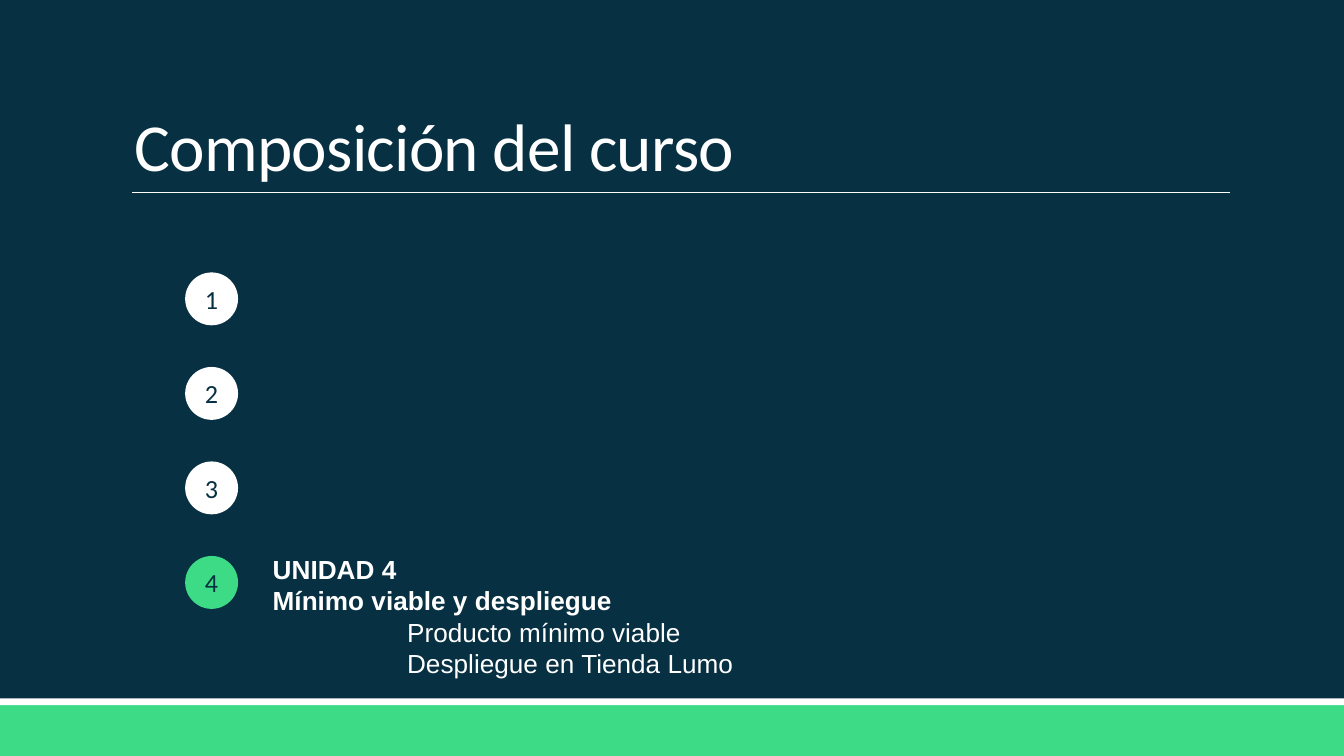
"""Build the course outline slide with its numbered units."""
from dataclasses import dataclass

from lxml.etree import SubElement
from pptx import Presentation
from pptx.dml.color import RGBColor
from pptx.enum.shapes import MSO_CONNECTOR, MSO_SHAPE
from pptx.enum.text import MSO_ANCHOR, MSO_AUTO_SIZE, PP_ALIGN
from pptx.oxml.ns import qn
from pptx.util import Cm, Pt


@dataclass(frozen=True)
class Theme:
    """Colours, fonts and type sizes of the deck."""
    navy: RGBColor = RGBColor.from_string("073042")
    green: RGBColor = RGBColor.from_string("3DDB85")
    white: RGBColor = RGBColor.from_string("FFFFFF")
    heading_font: str = "Calibri"
    body_font: str = "Arial"
    title_size: Pt = Pt(36)
    text_size: Pt = Pt(14)
    text_leading: Pt = Pt(16.8)
    rule_width: Pt = Pt(0.5)


@dataclass(frozen=True)
class Box:
    """A rectangle on the slide."""
    left: int
    top: int
    width: int
    height: int

    def fit(self, shape):
        """Move and size a shape to fill the box."""
        shape.left, shape.top = self.left, self.top
        shape.width, shape.height = self.width, self.height


THEME = Theme()
UNIT_COUNT = 4
CURRENT_UNIT = 4
UNIT_LINES = [
    ("UNIDAD 4", True),
    ("Mínimo viable y despliegue", True),
    ("Producto mínimo viable", False),
    ("Despliegue en Tienda Lumo", False),
]


def style_font(font, name, size, color, bold=False):
    """Set the typeface, size, colour and weight of a font."""
    font.name, font.size, font.bold = name, size, bold
    font.color.rgb = color


def add_filled(page, kind, box, color):
    """Add a flat preset shape without an outline."""
    shape = page.shapes.add_shape(kind, box.left, box.top, box.width, box.height)
    shape.shadow.inherit = False
    shape.fill.solid()
    shape.fill.fore_color.rgb = color
    shape.line.fill.background()
    return shape


def add_footer(page, box):
    """Draw the green band with a white stripe along its top."""
    stripe = Cm(0.13)
    band = Box(box.left, box.top + stripe, box.width, box.height - stripe)
    add_filled(page, MSO_SHAPE.RECTANGLE, band, THEME.green)
    add_filled(page, MSO_SHAPE.RECTANGLE, Box(box.left, box.top, box.width, stripe), THEME.white)


def add_title(page, box):
    """Place the title at the foot of the box, over a thin rule."""
    title = page.shapes.title
    box.fit(title)
    frame = title.text_frame
    frame.vertical_anchor = MSO_ANCHOR.BOTTOM
    frame.auto_size = MSO_AUTO_SIZE.NONE
    para = frame.paragraphs[0]
    para.alignment, para.line_spacing = PP_ALIGN.LEFT, 0.85
    style_font(para.font, THEME.heading_font, THEME.title_size, THEME.white)
    span = para.add_run()
    span.text = "Composición del curso"
    span._r.get_or_add_rPr().set("spc", "-40")

    bottom = box.top + box.height
    rule = page.shapes.add_connector(
        MSO_CONNECTOR.STRAIGHT, box.left + Cm(0.2), bottom, box.left + box.width, bottom)
    rule.line.color.rgb, rule.line.width = THEME.white, THEME.rule_width
    SubElement(rule._element.spPr, qn("a:effectLst"))


def add_unit_markers(page, box):
    """Spread numbered circles evenly down the box."""
    pitch = (box.height - box.width) / (UNIT_COUNT - 1)
    for index in range(UNIT_COUNT):
        number = index + 1
        color = THEME.green if number == CURRENT_UNIT else THEME.white
        spot = Box(box.left, box.top + round(index * pitch), box.width, box.width)
        marker = add_filled(page, MSO_SHAPE.OVAL, spot, color)
        frame = marker.text_frame
        frame.margin_left = frame.margin_right = frame.margin_top = frame.margin_bottom = 0
        frame.vertical_anchor = MSO_ANCHOR.MIDDLE
        para = frame.paragraphs[0]
        para.text, para.alignment = str(number), PP_ALIGN.CENTER
        style_font(para.font, THEME.heading_font, THEME.text_size, THEME.navy)


def add_unit_details(page, box):
    """List the heading and the indented topics of the current unit."""
    body = page.placeholders[1]
    box.fit(body)
    frame = body.text_frame
    frame.auto_size = MSO_AUTO_SIZE.NONE
    frame.vertical_anchor = MSO_ANCHOR.TOP
    for index, (text, is_heading) in enumerate(UNIT_LINES):
        para = frame.add_paragraph() if index else frame.paragraphs[0]
        para.text, para.alignment = text, PP_ALIGN.LEFT
        para.space_before, para.line_spacing = Pt(0), THEME.text_leading
        style_font(para.font, THEME.body_font, THEME.text_size, THEME.white, is_heading)
        properties = para._p.get_or_add_pPr()
        properties.set("marL", str(0 if is_heading else Cm(2.54)))
        properties.set("indent", "0")
        properties.insert_element_before(
            properties.makeelement(qn("a:buNone")), "a:tabLst", "a:defRPr", "a:extLst")


def main():
    """Build and save the deck."""
    deck = Presentation()
    deck.slide_width, deck.slide_height = Cm(25.4), Cm(14.29)
    page = deck.slides.add_slide(deck.slide_layouts[1])
    page.background.fill.solid()
    page.background.fill.fore_color.rgb = THEME.navy
    add_footer(page, Box(0, Cm(13.2), deck.slide_width, Cm(1.09)))
    add_title(page, Box(Cm(2.29), Cm(0.61), Cm(20.96), Cm(3.02)))
    add_unit_markers(page, Box(Cm(3.5), Cm(5.15), Cm(1), Cm(6.36)))
    add_unit_details(page, Box(Cm(4.9), Cm(10.33), Cm(12.6), Cm(2.65)))
    deck.save("out.pptx")


if __name__ == "__main__":
    main()
